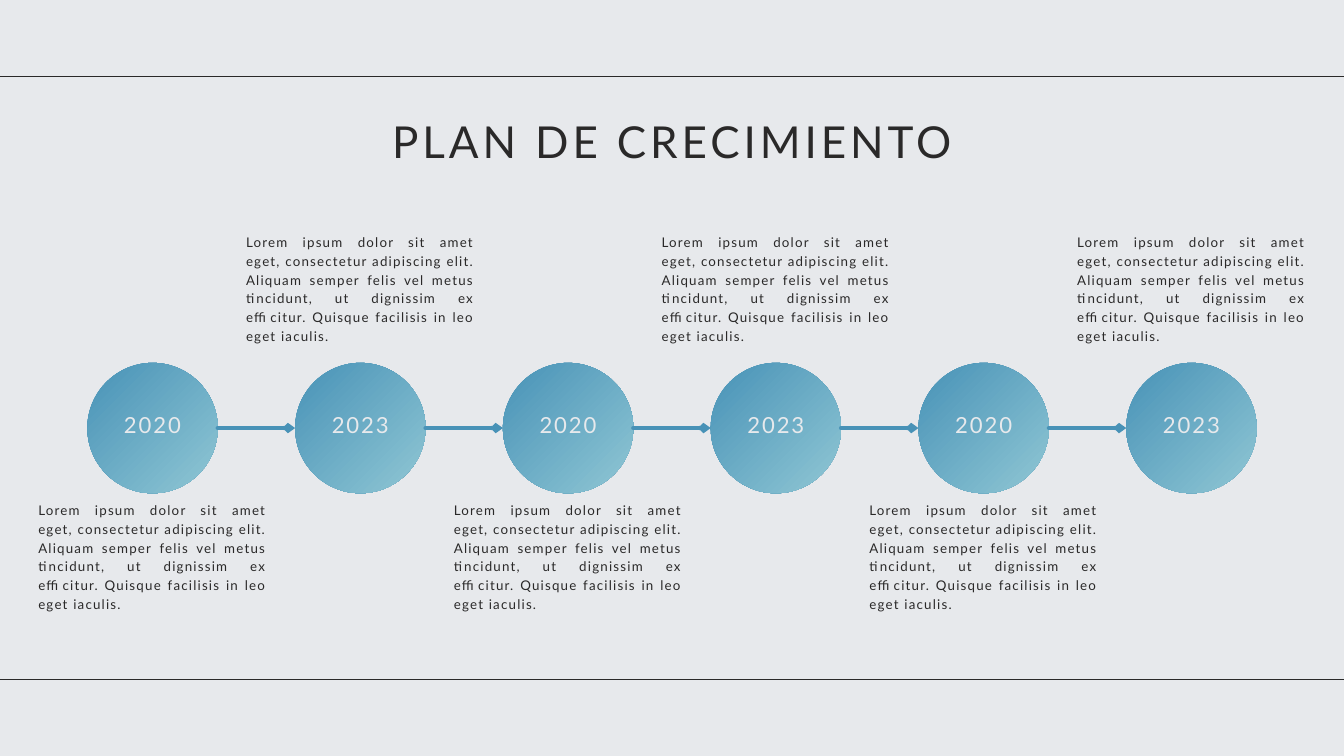
from pptx import Presentation
from pptx.dml.color import RGBColor as RGB
from pptx.enum.shapes import MSO_CONNECTOR as Conn, MSO_SHAPE as Geo
from pptx.enum.text import MSO_ANCHOR as Anchor, PP_ALIGN as Align
from pptx.oxml.ns import qn
from pptx.util import Inches, Pt
from lxml.etree import SubElement as Sub

# Content
TITLE = "PLAN DE CRECIMIENTO"
YEARS = ["2020", "2023"] * 3
NOTE = ("Lorem ipsum dolor sit amet eget, consectetur adipiscing elit. "
        "Aliquam semper felis vel metus tincidunt, ut dignissim ex efficitur. "
        "Quisque facilisis in leo eget iaculis.")

# Theme: type styles hold size, line pitch, letter gap, colour and alignment
THEME = {
    "font": "Lato", "back": "E7E9EC", "ink": "2A2929",
    "deep": "4892B7", "pale": "90C7D4",
    "title": (47.1, 65.9, 4.2, "ink", Align.CENTER),
    "year": (23.7, 33.2, 2.1, "back", Align.CENTER),
    "note": (14.3, 20, 1.3, "ink", Align.JUSTIFY),
}

# Layout in inches
WIDTH, HEIGHT = 20, 11.25
RULES = (1.14, 10.11)
FIRST, LAST, MID = 2.27, 17.73, 6.37
DISC = 1.94
NOTE_W, NOTE_H = 3.4, 1.66
NOTE_TOPS = (7.44, 3.45)
STEP = (LAST - FIRST) / (len(YEARS) - 1)


def tint(name):
    return RGB.from_string(THEME[name])


def write(frame, text, style, pads=(0, 0, 0, 0)):
    size, pitch, gap, color, align = THEME[style]
    frame.word_wrap = True
    (frame.margin_left, frame.margin_top,
     frame.margin_right, frame.margin_bottom) = map(Inches, pads)
    para = frame.paragraphs[0]
    run = para.add_run()
    run.text = text
    run.font._element.set("spc", str(round(gap * 100)))
    para.alignment, para.line_spacing = align, Pt(pitch)
    font = para.font
    font.name, font.size = THEME["font"], Pt(size)
    font.color.rgb = tint(color)


def add_text(slide, box, text, style):
    write(slide.shapes.add_textbox(*map(Inches, box)).text_frame, text, style)


def add_line(slide, left, right, y, color, width, arrow=False):
    line = slide.shapes.add_connector(
        Conn.STRAIGHT, *map(Inches, (left, y, right, y)))
    line.line.color.rgb, line.line.width = tint(color), Pt(width)
    props = line._element.spPr
    if arrow:
        pen = props.find(qn("a:ln"))
        pen.set("cap", "rnd")
        Sub(pen, qn("a:tailEnd"), type="arrow", w="sm", len="sm")
    Sub(props, qn("a:effectLst"))


def add_disc(slide, x, year):
    box = (x - DISC / 2, MID - DISC / 2, DISC, DISC)
    disc = slide.shapes.add_shape(Geo.OVAL, *map(Inches, box))
    disc.shadow.inherit = False
    disc.line.fill.background()
    disc.fill.gradient()
    disc.fill.gradient_angle = 315
    for stop, name in zip(disc.fill.gradient_stops, ("deep", "pale")):
        stop.color.rgb = tint(name)
    disc.text_frame.vertical_anchor = Anchor.MIDDLE
    # Deeper bottom pad lifts the year a little above the centre
    write(disc.text_frame, year, "year", (0.06, 0.06, 0.06, 0.24))


def main():
    deck = Presentation()
    deck.slide_width, deck.slide_height = Inches(WIDTH), Inches(HEIGHT)
    slide = deck.slides.add_slide(deck.slide_layouts[6])
    slide.background.fill.solid()
    slide.background.fill.fore_color.rgb = tint("back")

    # Title and page rules
    add_text(slide, (3.96, 1.58, 12.08, 0.93), TITLE, "title")
    for y in RULES:
        add_line(slide, 0, WIDTH, y, "ink", 1.5)

    # Timeline: discs, with notes in turn below and above
    spots = [FIRST + i * STEP for i in range(len(YEARS))]
    for i, (x, year) in enumerate(zip(spots, YEARS)):
        add_disc(slide, x, year)
        box = (x - NOTE_W / 2, NOTE_TOPS[i % 2], NOTE_W, NOTE_H)
        add_text(slide, box, NOTE, "note")

    # Arrows from each disc to the next
    for x, end in zip(spots, spots[1:]):
        add_line(slide, x + DISC / 2, end - DISC / 2, MID, "deep", 4.5, True)

    deck.save("out.pptx")


if __name__ == "__main__":
    main()
